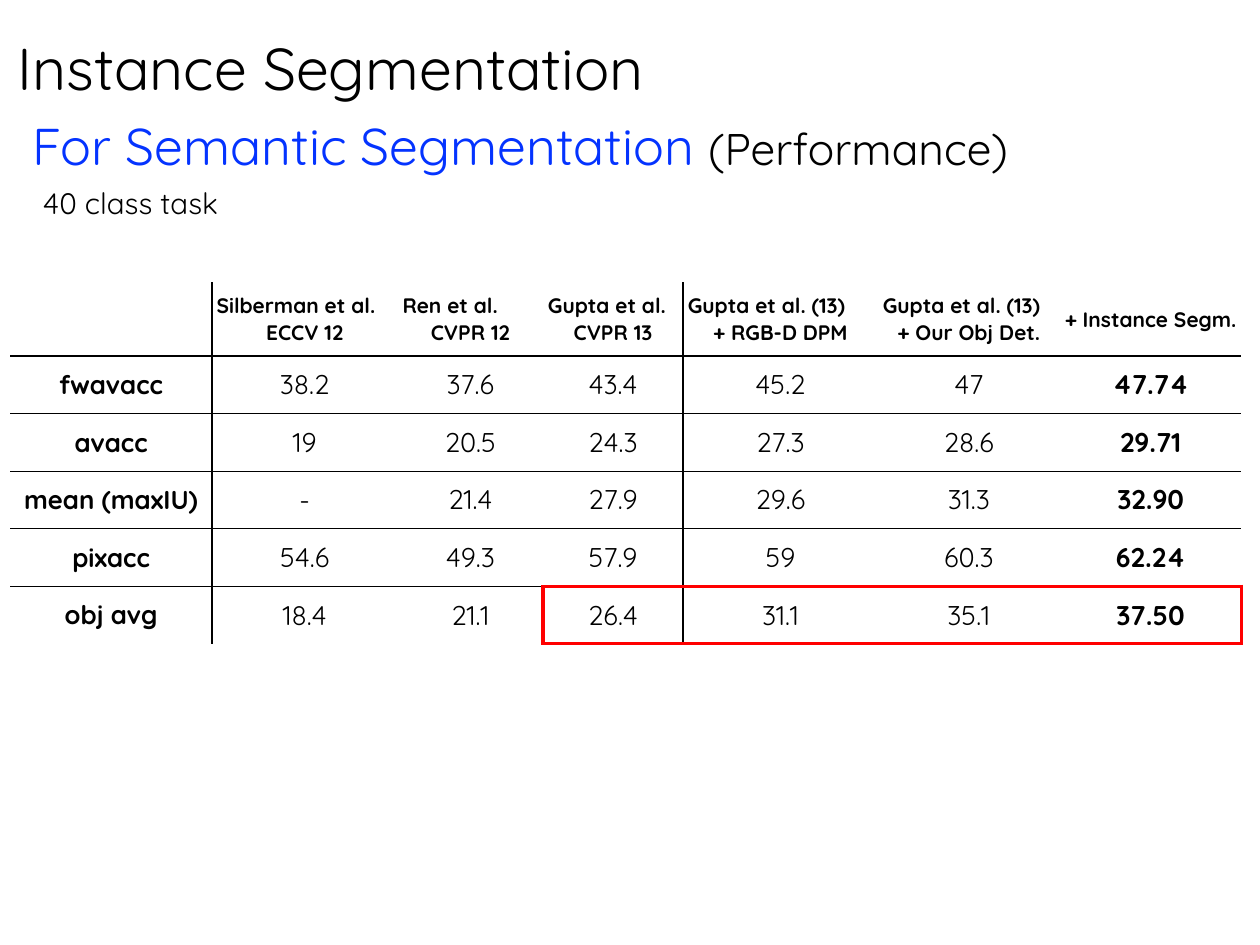
from lxml import etree
from pptx import Presentation
from pptx.dml.color import RGBColor
from pptx.enum.text import MSO_ANCHOR, PP_ALIGN
from pptx.oxml.ns import qn
from pptx.util import Cm, Pt

MIDDLE = MSO_ANCHOR.MIDDLE
LEFT, CENTER = PP_ALIGN.LEFT, PP_ALIGN.CENTER

FONT = "Quicksand"
COLORS = {"text": "000000", "task": "0433FF", "highlight": "FF0000"}
INSET = 0.14

COLUMN_WIDTHS = [5.77, 5.33, 4.17, 4.01, 5.59, 5.21, 5.21]
HEADER_HEIGHT, METRIC_HEIGHT = 2.11, 1.65
RESULTS = [
    ["", "Silberman et al.\nECCV 12", "Ren et al.\nCVPR 12",
     "Gupta et al.\nCVPR 13", "Gupta et al. (13)\n+ RGB-D DPM",
     "Gupta et al. (13)\n+ Our Obj Det.", "+ Instance Segm."],
    ["fwavacc", "38.2", "37.6", "43.4", "45.2", "47", "47.74"],
    ["avacc", "19", "20.5", "24.3", "27.3", "28.6", "29.71"],
    ["mean (maxIU)", "-", "21.4", "27.9", "29.6", "31.3", "32.90"],
    ["pixacc", "54.6", "49.3", "57.9", "59", "60.3", "62.24"],
    ["obj avg", "18.4", "21.1", "26.4", "31.1", "35.1", "37.50"],
]
ROW_COUNT, COLUMN_COUNT = len(RESULTS), len(COLUMN_WIDTHS)
LAST_ROW, LAST_COLUMN = ROW_COUNT - 1, COLUMN_COUNT - 1
HIGHLIGHT_START = 3
GROUP_EDGES = (1, 4)

HAIRLINE = ("text", 0.5)
RULE = ("text", 1.5)
HIGHLIGHT = ("highlight", 3)


def style_font(font, size, color="text", bold=False):
    font.name = FONT
    font.size = Pt(size)
    font.bold = bold
    font.color.rgb = RGBColor.from_string(COLORS[color])


def add_line_of_text(slide, box, parts, indent=0):
    frame = slide.shapes.add_textbox(*(Cm(length) for length in box)).text_frame
    frame.word_wrap = True
    frame.vertical_anchor = MIDDLE
    frame.margin_left = frame.margin_right = Cm(INSET)
    frame.margin_top = frame.margin_bottom = Cm(INSET)
    line = frame.paragraphs[0]
    line.alignment = LEFT
    if indent:
        properties = line._p.get_or_add_pPr()
        properties.set("marL", str(Cm(indent)))
        properties.set("indent", "0")
    for wording, size, color in parts:
        run = line.add_run()
        run.text = wording
        style_font(run.font, size, color)


def vertical_edge(row, edge):
    if row == LAST_ROW and edge in (HIGHLIGHT_START, COLUMN_COUNT):
        return HIGHLIGHT
    return RULE if edge in GROUP_EDGES else None


def horizontal_edge(edge, column):
    if edge >= LAST_ROW and column >= HIGHLIGHT_START:
        return HIGHLIGHT
    if edge in (0, ROW_COUNT):
        return None
    return RULE if edge == 1 else HAIRLINE


def draw_borders(cell, row, column):
    edges = {
        "a:lnL": vertical_edge(row, column),
        "a:lnR": vertical_edge(row, column + 1),
        "a:lnT": horizontal_edge(row, column),
        "a:lnB": horizontal_edge(row + 1, column),
    }
    properties = cell._tc.get_or_add_tcPr()
    for position, (side, edge) in enumerate(edges.items()):
        border = etree.Element(qn(side))
        if edge:
            color, width = edge
            border.set("w", str(Pt(width)))
            fill = etree.SubElement(border, qn("a:solidFill"))
            etree.SubElement(fill, qn("a:srgbClr"), val=COLORS[color])
        else:
            border.set("w", "0")
            etree.SubElement(border, qn("a:noFill"))
        properties.insert(position, border)


def fill_cell(cell, wording, row, column):
    cell.fill.background()
    cell.vertical_anchor = MIDDLE
    cell.margin_left = cell.margin_right = Cm(INSET)
    cell.margin_top = cell.margin_bottom = Cm(INSET)
    cell.text_frame.text = wording
    size = 17 if row == 0 else 21 if column == 0 else 22
    bold = row == 0 or column in (0, LAST_COLUMN)
    lines = cell.text_frame.paragraphs
    for line in lines:
        line.alignment = CENTER if line is lines[-1] else LEFT
        style_font(line.font, size, bold=bold)
        for run in line.runs:
            style_font(run.font, size, bold=bold)
    draw_borders(cell, row, column)


def add_results(slide, left, top):
    heights = [HEADER_HEIGHT] + [METRIC_HEIGHT] * LAST_ROW
    table = slide.shapes.add_table(
        ROW_COUNT, COLUMN_COUNT, Cm(left), Cm(top),
        Cm(sum(COLUMN_WIDTHS)), Cm(sum(heights))).table
    table.first_row = table.horz_banding = False
    for column, width in zip(table.columns, COLUMN_WIDTHS):
        column.width = Cm(width)
    for row, height in zip(table.rows, heights):
        row.height = Cm(height)
    for row, wordings in enumerate(RESULTS):
        for column, wording in enumerate(wordings):
            fill_cell(table.cell(row, column), wording, row, column)


def main():
    presentation = Presentation()
    presentation.slide_width, presentation.slide_height = Cm(36.12), Cm(27.1)
    slide = presentation.slides.add_slide(presentation.slide_layouts[6])
    add_line_of_text(slide, (0.36, 0.28, 35.38, 3.25),
                     [("Instance Segmentation", 48, "text")])
    add_line_of_text(slide, (0.33, 3.1, 35.38, 2.08),
                     [("For Semantic Segmentation ", 42, "task"),
                      ("(Performance)", 36, "text")], indent=0.46)
    add_results(slide, 0.3, 8.1)
    add_line_of_text(slide, (0.99, 5.16, 6.27, 1.3),
                     [("40 class task", 24, "text")], indent=0.1)
    presentation.save("out.pptx")


if __name__ == "__main__":
    main()
